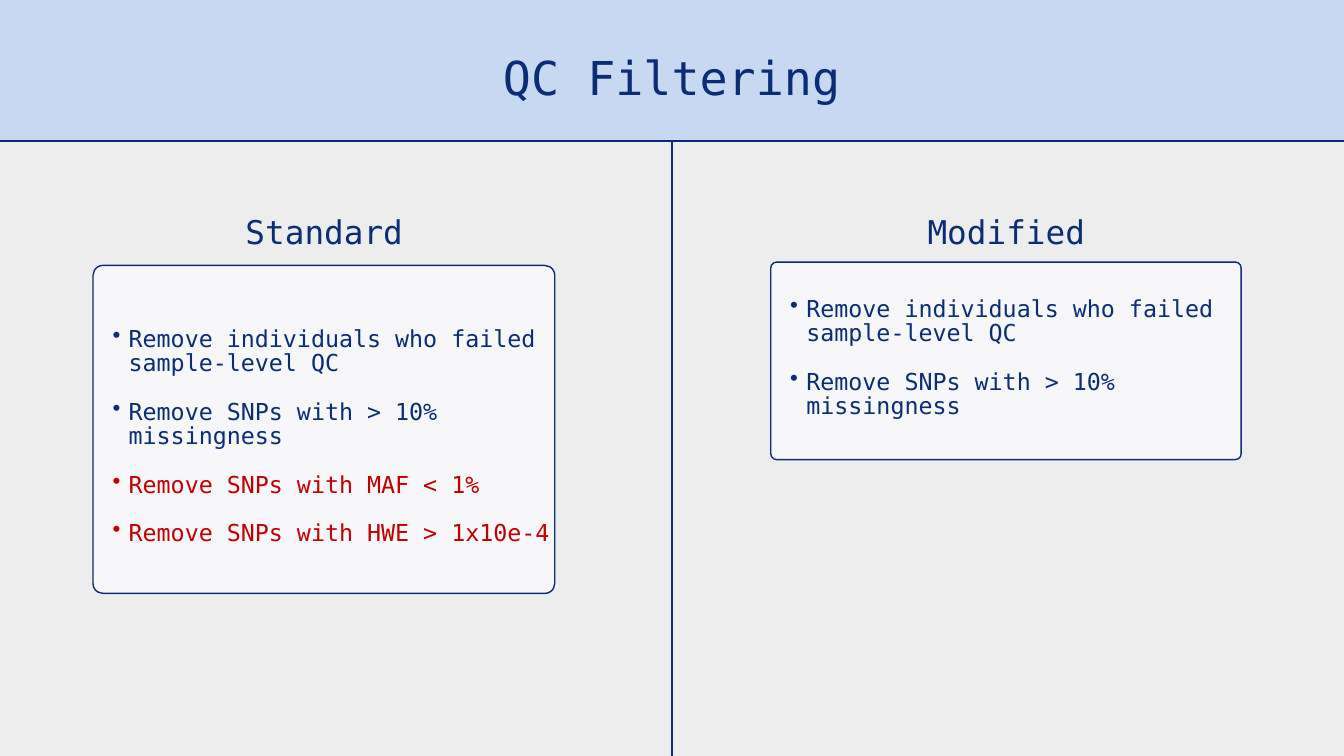
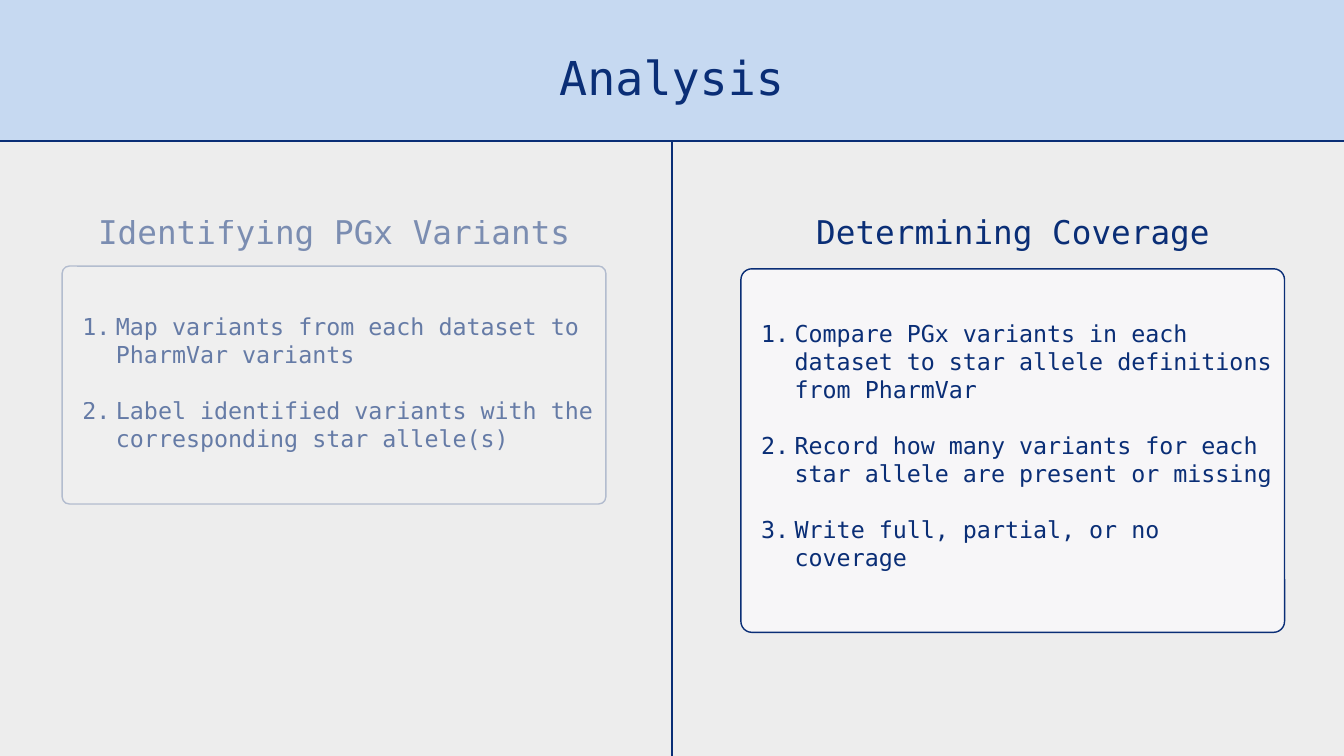
import pptx
import pptx.dml.color
import pptx.enum.shapes
import pptx.enum.text
import pptx.oxml.ns
import pptx.util
from lxml import etree

RGB = pptx.dml.color.RGBColor
NAVY = RGB(0x0A, 0x2E, 0x76)
RED = RGB(0xC0, 0x00, 0x00)
BAND = RGB(0xC6, 0xD9, 0xF1)
PANEL = RGB(0xED, 0xED, 0xED)
CARD = RGB(0xF7, 0xF6, 0xF8)
FONT = "DejaVu Sans Mono"
COLS, ROWS = 20, 11.25
SHAPE = pptx.enum.shapes.MSO_SHAPE
ALIGN = pptx.enum.text.PP_ALIGN
ANCHOR = pptx.enum.text.MSO_ANCHOR
FIT = pptx.enum.text.MSO_AUTO_SIZE
Pt = pptx.util.Pt
qn = pptx.oxml.ns.qn


class Deck:
    def __init__(self):
        self.prs = pptx.Presentation()
        self.prs.slide_width = pptx.util.Inches(20)
        self.prs.slide_height = pptx.util.Inches(11.25)
        self.s = None

    def place(self, left, top, width, height):
        col = self.prs.slide_width / COLS
        row = self.prs.slide_height / ROWS
        return [round(v) for v in (left * col, top * row, width * col, height * row)]

    def fade(self, element, opacity):
        if opacity < 100:
            for color in element.iter(qn("a:srgbClr")):
                etree.SubElement(color, qn("a:alpha"), val=str(opacity * 1000))

    def box(self, kind, cell, fill, opacity=100):
        sp = self.s.shapes.add_shape(kind, *self.place(*cell))
        sp.shadow.inherit = False
        sp.fill.solid()
        sp.fill.fore_color.rgb = fill
        sp.line.color.rgb = NAVY
        sp.line.width = Pt(1.5)
        self.fade(sp._element.spPr, opacity)
        return sp

    def frame(self, cell, inset=0):
        tf = self.s.shapes.add_textbox(*self.place(*cell)).text_frame
        tf.word_wrap = True
        tf.margin_left = tf.margin_right = pptx.util.Inches(inset)
        tf.margin_top = tf.margin_bottom = pptx.util.Inches(inset)
        return tf

    def run(self, p, text, size, color=NAVY, opacity=100):
        r = p.add_run()
        r.text = text
        r.font.name = FONT
        r.font.size = Pt(size)
        r.font.color.rgb = color
        self.fade(r._r, opacity)

    def heading(self, cell, text, size, leading, opacity=100):
        tf = self.frame(cell)
        tf.auto_size = FIT.SHAPE_TO_FIT_TEXT
        p = tf.paragraphs[0]
        p.alignment = ALIGN.CENTER
        p.line_spacing = Pt(leading)
        self.run(p, text, size, opacity=opacity)

    def slide(self, title):
        self.s = self.prs.slides.add_slide(self.prs.slide_layouts[6])
        self.box(SHAPE.RECTANGLE, (-0.22, 1.83, 10.38, 9.61), PANEL)
        self.box(SHAPE.RECTANGLE, (10, 1.83, 10.14, 9.61), PANEL)
        self.box(SHAPE.RECTANGLE, (-0.22, -0.17, 20.36, 2.27), BAND)
        self.heading((2.15, 0.65, 15.69, 0.91), title, 50, 65)

    def items(self, cell, items, numbered, opacity):
        tf = self.frame(cell, 0.06)
        tf.vertical_anchor = ANCHOR.MIDDLE
        indent, hang = (0.74, 0.5) if numbered else (0.47, 0.24)
        for i, (text, color) in enumerate(items):
            p = tf.paragraphs[0] if i == 0 else tf.add_paragraph()
            pPr = p._p.get_or_add_pPr()
            pPr.set("marL", str(pptx.util.Inches(indent)))
            pPr.set("indent", str(-pptx.util.Inches(hang)))
            if numbered:
                etree.SubElement(pPr, qn("a:buAutoNum"), type="arabicPeriod")
            else:
                etree.SubElement(pPr, qn("a:buChar"), char="•")
                p.line_spacing = Pt(26)
            if i:
                p.space_before = Pt(30 if numbered else 26)
            self.run(p, text, 25, color, opacity)

    def column(self, title, center, width, card, text, items, numbered=False,
               opacities=(100, 100, 100)):
        title_op, card_op, text_op = opacities
        left = center - width / 2
        self.heading((center - 4.22, 3.02, 8.45, 0.73), title, 35, 52, title_op)
        sp = self.box(SHAPE.ROUNDED_RECTANGLE, (left, card[0], width, card[1]), CARD, card_op)
        sp.adjustments[0] = 0.03
        self.items((left, text[0], width, text[1]), items, numbered, text_op)


def main():
    deck = Deck()
    shared = [("Remove individuals who failed sample-level QC", NAVY),
              ("Remove SNPs with > 10% missingness", NAVY)]
    strict = [("Remove SNPs with MAF < 1%", RED),
              ("Remove SNPs with HWE > 1x10e-4", RED)]
    deck.slide("QC Filtering")
    deck.column("Standard", 4.82, 6.87, (3.95, 4.88), (3.83, 5.35), shared + strict)
    deck.column("Modified", 14.97, 7, (3.9, 2.94), (3.83, 3.01), shared)

    identify = [("Map variants from each dataset to PharmVar variants", NAVY),
                ("Label identified variants with the corresponding star allele(s)", NAVY)]
    cover = [("Compare PGx variants in each dataset to star allele definitions from PharmVar", NAVY),
             ("Record how many variants for each star allele are present or missing", NAVY),
             ("Write full, partial, or no coverage", NAVY)]
    deck.slide("Analysis")
    deck.column("Identifying PGx Variants", 4.97, 8.09, (3.96, 3.54), (3.88, 3.62),
                identify, True, (50, 25, 60))
    deck.column("Determining Coverage", 15.07, 8.09, (4, 5.41), (3.86, 5.54), cover, True)
    deck.prs.save("out.pptx")


if __name__ == "__main__":
    main()
